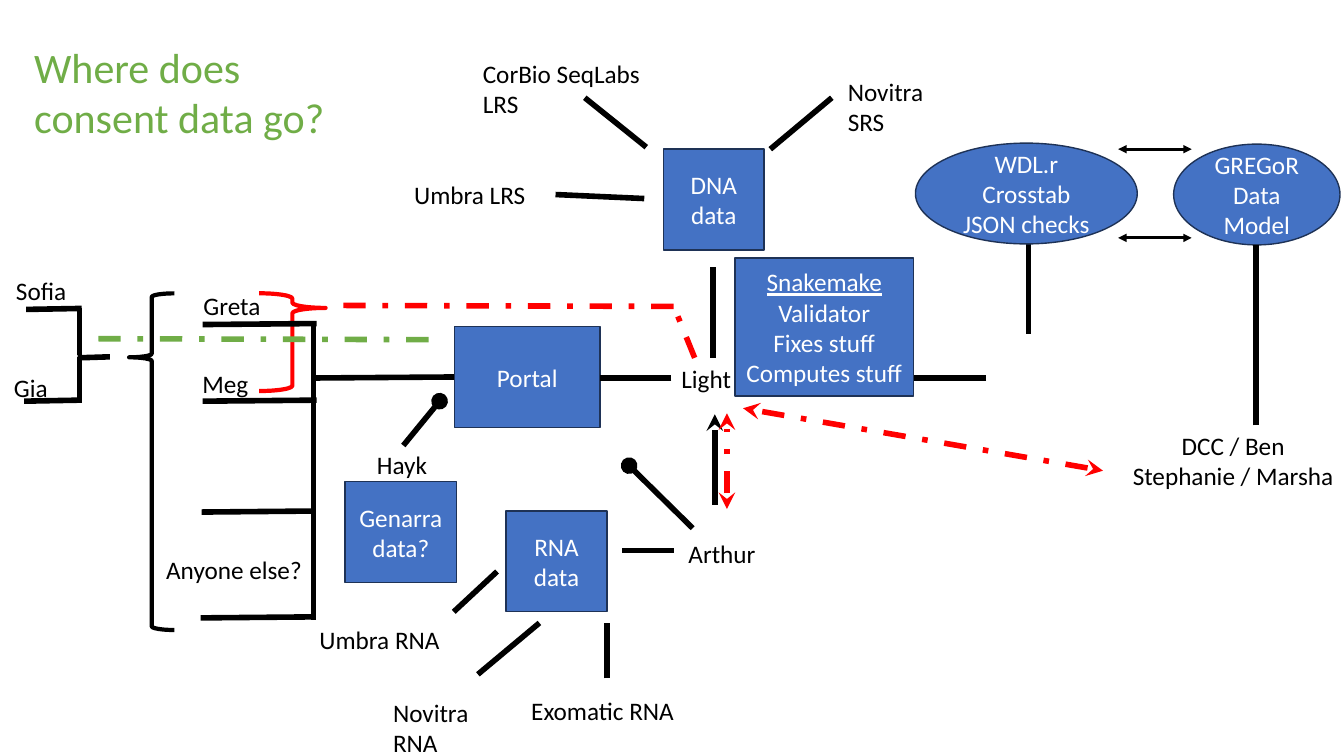
from dataclasses import dataclass

from lxml import etree
from pptx import Presentation
from pptx.dml.color import RGBColor
from pptx.enum import dml, shapes, text
from pptx.oxml import ns
from pptx.util import Pt

PX = 9144


@dataclass(frozen=True)
class Theme:
    font: str = "Calibri"
    black: str = "000000"
    white: str = "FFFFFF"
    blue: str = "4472C4"
    navy: str = "1E3256"
    red: str = "FF0000"
    green: str = "70AD47"
    title_size: int = 30
    body_size: int = 18
    outline: int = 1
    thin: int = 2
    brace: int = 3
    thick: int = 4


THEME = Theme()
RECTANGLE = shapes.MSO_SHAPE.RECTANGLE
ELLIPSE = shapes.MSO_SHAPE.OVAL


def apply(target, values):
    for name, value in values.items():
        setattr(target, name, value)


def paint_line(line, color, width):
    line.color.rgb = RGBColor.from_string(color)
    line.width = Pt(width)


def write(frame, lines, color, size, align, underlined=()):
    for index, words in enumerate(lines):
        paragraph = frame.paragraphs[0] if index == 0 else frame.add_paragraph()
        paragraph.alignment = align
        run = paragraph.add_run()
        run.text = words
        apply(run.font, {"name": THEME.font, "size": Pt(size)})
        run.font.color.rgb = RGBColor.from_string(color)
        if words in underlined:
            run.font.underline = True


@dataclass
class Region:
    slide: object
    left: int
    top: int

    def place(self, x, y):
        return (self.left + x) * PX, (self.top + y) * PX

    def label(self, words, x, y, width, height=40, color=THEME.black,
              size=THEME.body_size, align=text.PP_ALIGN.LEFT, wrap=False):
        box = self.slide.shapes.add_textbox(*self.place(x, y), width * PX, height * PX)
        apply(box.text_frame, {"word_wrap": wrap,
                               "auto_size": text.MSO_AUTO_SIZE.SHAPE_TO_FIT_TEXT})
        write(box.text_frame, words.split("\n"), color, size, align)

    def block(self, words, x, y, width=100, height=100, kind=RECTANGLE, underlined=()):
        shape = self.slide.shapes.add_shape(kind, *self.place(x, y), width * PX, height * PX)
        shape.shadow.inherit = False
        shape.fill.solid()
        shape.fill.fore_color.rgb = RGBColor.from_string(THEME.blue)
        paint_line(shape.line, THEME.navy, THEME.outline)
        apply(shape.text_frame, {"word_wrap": True,
                                 "vertical_anchor": text.MSO_ANCHOR.MIDDLE})
        write(shape.text_frame, words.split("\n"), THEME.white, THEME.body_size,
              text.PP_ALIGN.CENTER, underlined)

    def brace(self, x, y, width, height, tip, color, rotation=0):
        shape = self.slide.shapes.add_shape(
            shapes.MSO_SHAPE.RIGHT_BRACE, *self.place(x, y), width * PX, height * PX)
        shape.shadow.inherit = False
        shape.fill.background()
        paint_line(shape.line, color, THEME.brace)
        shape.adjustments[0] = 0.08
        shape.adjustments[1] = tip
        shape.rotation = rotation

    def line(self, x1, y1, x2, y2, color=THEME.black, width=THEME.thick,
             dashed=False, head=None, tail=None):
        connector = self.slide.shapes.add_connector(
            shapes.MSO_CONNECTOR.STRAIGHT, *self.place(x1, y1), *self.place(x2, y2))
        paint_line(connector.line, color, width)
        if dashed:
            connector.line.dash_style = dml.MSO_LINE.DASH_DOT
        properties = connector.element.spPr
        outline = properties.find(ns.qn("a:ln"))
        for tag, ending in (("a:headEnd", head), ("a:tailEnd", tail)):
            if ending:
                etree.SubElement(outline, ns.qn(tag), type=ending)
        etree.SubElement(properties, ns.qn("a:effectLst"))


def draw_title(region):
    region.label("Where does\nconsent data go?", 0, 0, 311, 111,
                 THEME.green, THEME.title_size)


def draw_data_entry(region):
    region.line(140, 71, 0, 72)
    region.block("Portal", 140, 21, 144)
    region.line(355, 72, 284, 72)
    region.label("Light", 355, 53, 70)
    region.line(357, 1, 20, 0, THEME.red, dashed=True)
    region.line(378, 52, 361, 10, THEME.red, dashed=True)
    region.line(125, 95, 89, 139, head="oval")
    region.label("Hayk", 53, 138, 87, wrap=True)


def draw_dna(region):
    region.line(306, 302, 306, 212)
    region.block("DNA data", 257, 95)
    for ends in ((363, 95, 424, 44), (179, 44, 240, 93), (150, 140, 238, 144)):
        region.line(*ends)
    region.label("Novitra SRS", 430, 18, 132)
    region.label("CorBio SeqLabs\nLRS", 68, 0, 181, 71)
    region.label("Umbra LRS", 0, 120, 130)


def draw_rna(region):
    region.line(402, 96, 402, 6, tail="stealth")
    region.block("RNA data", 195, 102)
    region.block("Genarra data?", 35, 73, 111)
    for ends in ((361, 141, 310, 141), (186, 162, 143, 202),
                 (295, 268, 295, 213), (167, 264, 228, 213)):
        region.line(*ends)
    region.line(317, 57, 380, 119, head="oval")
    region.line(414, 100, 414, 5, THEME.red, dashed=True, head="stealth", tail="stealth")
    region.label("Arthur", 366, 124, 87)
    region.label("Umbra RNA", 0, 209, 139)
    region.label("Exomatic RNA", 210, 280, 165)
    region.label("Novitra RNA", 73, 282, 140)


def draw_delivery(region):
    region.block("Snakemake\nValidator\nFixes stuff\nComputes stuff", 0, 114, 177, 137,
                 underlined=("Snakemake",))
    region.line(249, 233, 178, 233)
    region.block("GREGoR Data Model", 435, 1, 165, kind=ELLIPSE)
    region.line(517, 280, 517, 101)
    region.label("DCC / Ben\nStephanie / Marsha", 383, 280, 222, 71,
                 align=text.PP_ALIGN.CENTER)
    region.line(291, 189, 291, 100)
    region.block("WDL.r\nCrosstab JSON checks", 179, 0, 220, kind=ELLIPSE)
    region.line(365, 325, 8, 263, THEME.red, dashed=True, head="stealth", tail="stealth")
    for y in (94, 6):
        region.line(380, y, 453, y, width=THEME.thin, head="triangle", tail="triangle")


def draw_team(region):
    region.brace(257, 23, 66, 97, 0.15, THEME.red)
    region.brace(128, 23, 45, 334, 0.81, THEME.black, rotation=180)
    for right, y in ((314, 53), (314, 129), (313, 239), (312, 344)):
        region.line(right, y, right - 113, y + 1)
    region.line(311, 347, 311, 53)
    for right, y in ((81, 38), (79, 129)):
        region.line(right, y, right - 55, y + 1)
    for top in (38, 86):
        region.line(79, top + 46, 79, top)
    region.line(109, 86, 77, 87)
    for name, x, y, width in (("Sofia", 6, 0, 71), ("Gia", 4, 96, 54),
                              ("Greta", 192, 15, 77), ("Meg", 191, 92, 66),
                              ("Anyone else?", 155, 277, 156)):
        region.label(name, x, y, width)
    region.line(425, 69, 88, 68, THEME.green, dashed=True)


def main():
    presentation = Presentation()
    apply(presentation, {"slide_width": 1333 * PX, "slide_height": 750 * PX})
    slide = presentation.slides.add_slide(presentation.slide_layouts[6])
    for draw, left, top in ((draw_data_entry, 311, 303), (draw_dna, 401, 53),
                            (draw_rna, 307, 405), (draw_delivery, 729, 142),
                            (draw_title, 24, 36), (draw_team, 0, 268)):
        draw(Region(slide, left, top))
    presentation.save("out.pptx")


if __name__ == "__main__":
    main()
